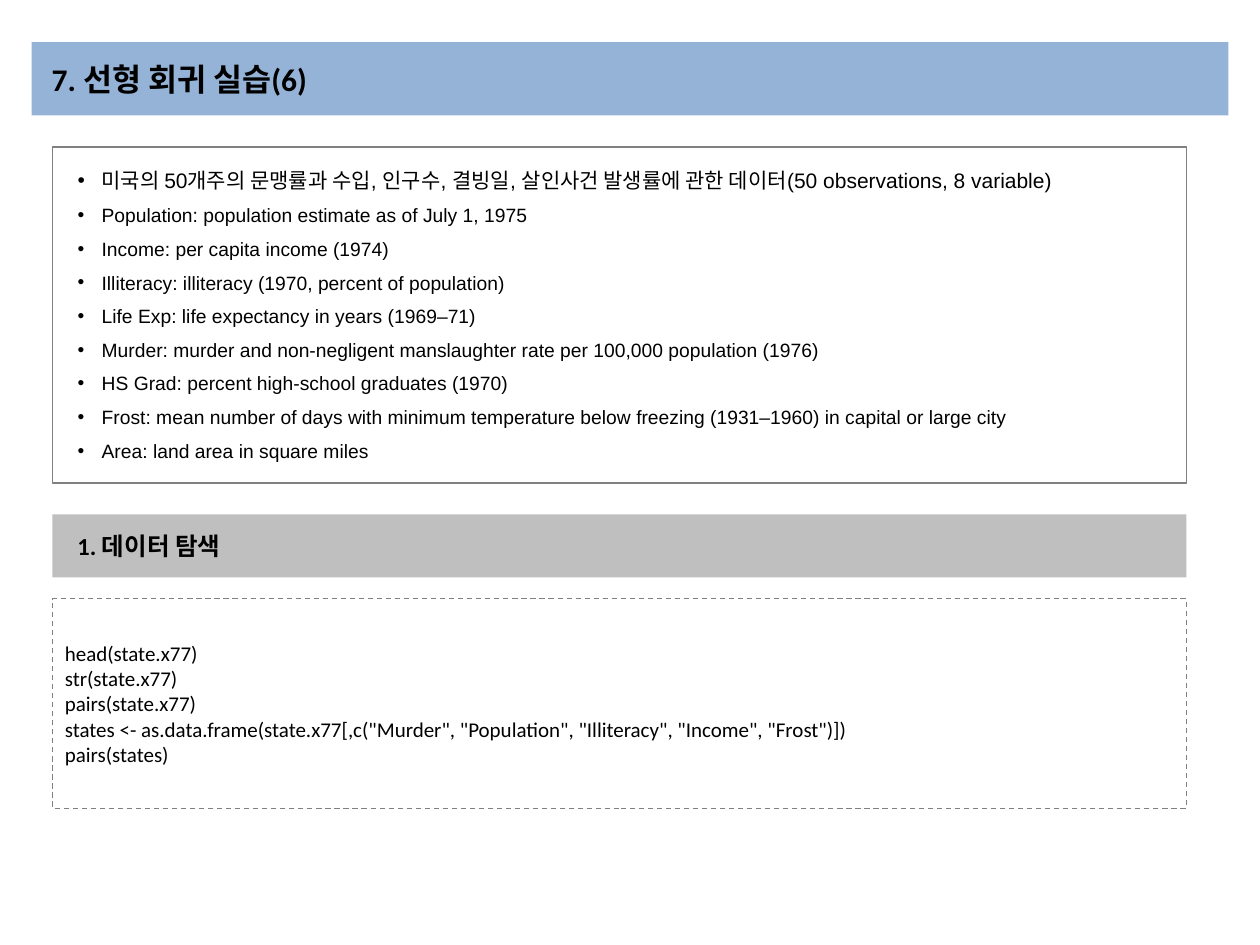
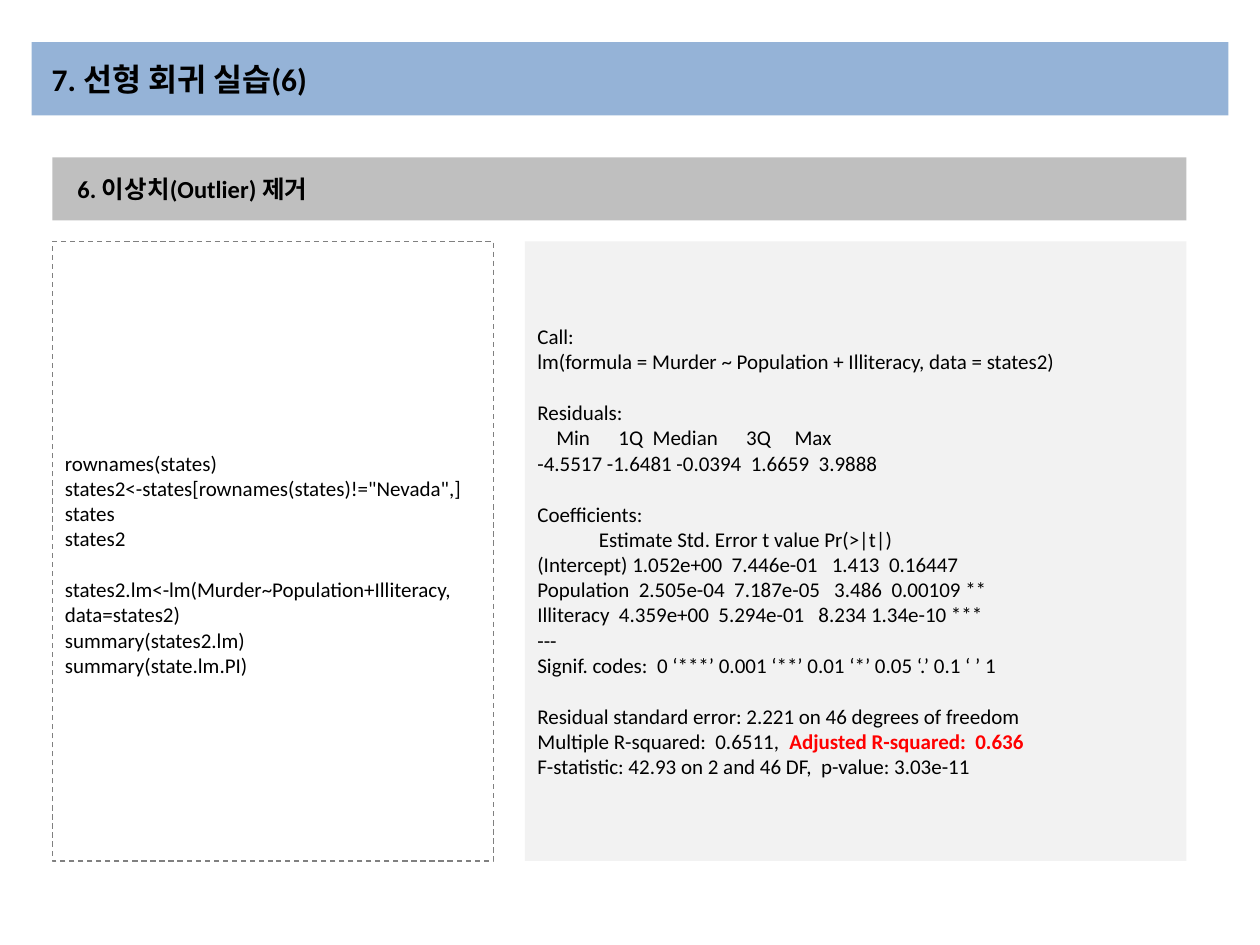
"""Builds two slides of a linear regression exercise in R."""
from lxml.etree import SubElement
from pptx import Presentation
from pptx.dml.color import RGBColor
from pptx.enum.dml import MSO_LINE
from pptx.enum.shapes import MSO_SHAPE as Shape
from pptx.enum.text import MSO_ANCHOR as Anchor, MSO_AUTO_SIZE as AutoSize, PP_ALIGN as Align
from pptx.oxml.ns import qn
from pptx.util import Inches, Pt

BLACK = RGBColor(0x00, 0x00, 0x00)
RED = RGBColor(0xFF, 0x00, 0x00)
BAND_BLUE = RGBColor(0x95, 0xB3, 0xD7)
SECTION_GRAY = RGBColor(0xBF, 0xBF, 0xBF)
OUTPUT_GRAY = RGBColor(0xF2, 0xF2, 0xF2)
BORDER_GRAY = RGBColor(0x80, 0x80, 0x80)

COLUMNS, ROWS = 120, 90
LEFT, WIDTH = 5, 108
TITLE_AND_CONTENT, TITLE_ONLY = 1, 5
LINE_GAP = 14.65

TOPIC = "7. 선형 회귀 실습(6)"

VARIABLES = """미국의 50개주의 문맹률과 수입, 인구수, 결빙일, 살인사건 발생률에 관한 데이터(50 observations, 8 variable)
Population: population estimate as of July 1, 1975
Income: per capita income (1974)
Illiteracy: illiteracy (1970, percent of population)
Life Exp: life expectancy in years (1969–71)
Murder: murder and non-negligent manslaughter rate per 100,000 population (1976)
HS Grad: percent high-school graduates (1970)
Frost: mean number of days with minimum temperature below freezing (1931–1960) in capital or large city
Area: land area in square miles"""

EXPLORE_CODE = """head(state.x77)
str(state.x77)
pairs(state.x77)
states <- as.data.frame(state.x77[,c("Murder", "Population", "Illiteracy", "Income", "Frost")])
pairs(states)"""

OUTLIER_CODE = """rownames(states)
states2<-states[rownames(states)!="Nevada",]
states
states2

states2.lm<-lm(Murder~Population+Illiteracy, data=states2)
summary(states2.lm)
summary(state.lm.PI)"""

ADJUSTED = "Adjusted R-squared:  0.636"
SUMMARY = f"""Call:
lm(formula = Murder ~ Population + Illiteracy, data = states2)

Residuals:
    Min      1Q  Median      3Q     Max
-4.5517 -1.6481 -0.0394  1.6659  3.9888

Coefficients:
             Estimate Std. Error t value Pr(>|t|)
(Intercept) 1.052e+00  7.446e-01   1.413  0.16447
Population  2.505e-04  7.187e-05   3.486  0.00109 **
Illiteracy  4.359e+00  5.294e-01   8.234 1.34e-10 ***
---
Signif. codes:  0 ‘***’ 0.001 ‘**’ 0.01 ‘*’ 0.05 ‘.’ 0.1 ‘ ’ 1

Residual standard error: 2.221 on 46 degrees of freedom
Multiple R-squared:  0.6511,\t{ADJUSTED}
F-statistic: 42.93 on 2 and 46 DF,  p-value: 3.03e-11"""


def write(shape, text, *, size=12, lead_size=None, font="Calibri", bold=False,
          highlight=None, bullet=None, indent=0, hanging=0, before=0,
          inset_left=0.1, inset_top=0.05):
    """Fill a shape with one paragraph per line; an empty line becomes spacing."""
    frame = shape.text_frame
    frame.word_wrap = True
    frame.auto_size = AutoSize.NONE
    frame.vertical_anchor = Anchor.MIDDLE
    frame.margin_left, frame.margin_top = Inches(inset_left), Inches(inset_top)
    frame.margin_right, frame.margin_bottom = Inches(0.1), Inches(0.05)
    gap = 0
    for number, line in enumerate(text.split("\n")):
        if not line:
            gap = LINE_GAP
            continue
        paragraph = frame.add_paragraph() if number else frame.paragraphs[0]
        paragraph.alignment = Align.LEFT
        paragraph.space_before = Pt(before + gap if number else 0)
        gap = 0
        properties = paragraph._p.get_or_add_pPr()
        properties.set("marL", str(Inches(indent)))
        properties.set("indent", str(-Inches(hanging)))
        if bullet:
            SubElement(properties, qn("a:buChar")).set("char", bullet)
        plain, marked, rest = line.partition(highlight) if highlight else (line, "", "")
        for words, color, strong in ((plain, BLACK, bold), (marked, RED, True), (rest, BLACK, bold)):
            if words:
                run = paragraph.add_run()
                run.text = words
                run.font.name = font
                run.font.size = Pt(size if number else lead_size or size)
                run.font.bold = strong
                run.font.color.rgb = color


class Lesson:
    """Holds the shared style, the presentation and the current slide."""

    def __init__(self):
        self.deck = Presentation()
        self.deck.slide_width, self.deck.slide_height = Inches(10), Inches(7.5)
        self.slide = None

    def place(self, shape, left, top, width, height):
        """Move a shape to grid columns and rows."""
        column, row = self.deck.slide_width / COLUMNS, self.deck.slide_height / ROWS
        shape.left, shape.width = round(left * column), round(width * column)
        shape.top, shape.height = round(top * row), round(height * row)

    def paint(self, shape, fill=None, border=None, dash=None):
        """Set the fill and the outline of a shape."""
        if fill is None:
            shape.fill.background()
        else:
            shape.fill.solid()
            shape.fill.fore_color.rgb = fill
        if border is None:
            shape.line.fill.background()
        else:
            shape.line.color.rgb = border
            shape.line.width = Pt(0.75)
            shape.line.dash_style = dash

    def start(self, topic, layout):
        """Add a slide with its title band."""
        self.slide = self.deck.slides.add_slide(self.deck.slide_layouts[layout])
        title = self.slide.shapes.title
        self.place(title, 3, 4, 114, 7)
        self.paint(title, BAND_BLUE)
        write(title, topic, size=18, bold=True, inset_left=0.16)

    def listing(self, text, top, height):
        """Put a framed bullet list in the body placeholder."""
        body = self.slide.placeholders[1]
        self.place(body, LEFT, top, WIDTH, height)
        self.paint(body, border=BORDER_GRAY)
        write(body, text, size=11, lead_size=12, font="Arial", bullet="•",
              indent=0.29, hanging=0.19, before=6)

    def panel(self, text, left, top, width, height, *, fill=None, border=None, dash=None, **style):
        """Add a rectangle with text."""
        panel = self.slide.shapes.add_shape(Shape.RECTANGLE, 0, 0, 0, 0)
        panel.shadow.inherit = False
        self.place(panel, left, top, width, height)
        self.paint(panel, fill, border, dash)
        write(panel, text, **style)

    def section(self, text, top):
        """Add a section band."""
        self.panel(text, LEFT, top, WIDTH, 6, fill=SECTION_GRAY, size=14, bold=True, indent=0.1)

    def code(self, text, top, width, height, **style):
        """Add a dashed box of code."""
        self.panel(text, LEFT, top, width, height, border=BORDER_GRAY, dash=MSO_LINE.DASH, **style)

    def output(self, text, left, top, width, height, **style):
        """Add a gray box of console output."""
        self.panel(text, left, top, width, height, fill=OUTPUT_GRAY, **style)


def main():
    """Build and save both slides."""
    lesson = Lesson()

    lesson.start(TOPIC, TITLE_AND_CONTENT)
    lesson.listing(VARIABLES, top=14, height=32)
    lesson.section("1. 데이터 탐색", top=49)
    lesson.code(EXPLORE_CODE, top=57, width=WIDTH, height=20)

    lesson.start(TOPIC, TITLE_ONLY)
    lesson.section("6. 이상치(Outlier) 제거", top=15)
    lesson.code(OUTLIER_CODE, top=23, width=42, height=59, inset_top=0.25)
    lesson.output(SUMMARY, left=50, top=23, width=63, height=59, highlight=ADJUSTED)

    lesson.deck.save("out.pptx")


if __name__ == "__main__":
    main()
